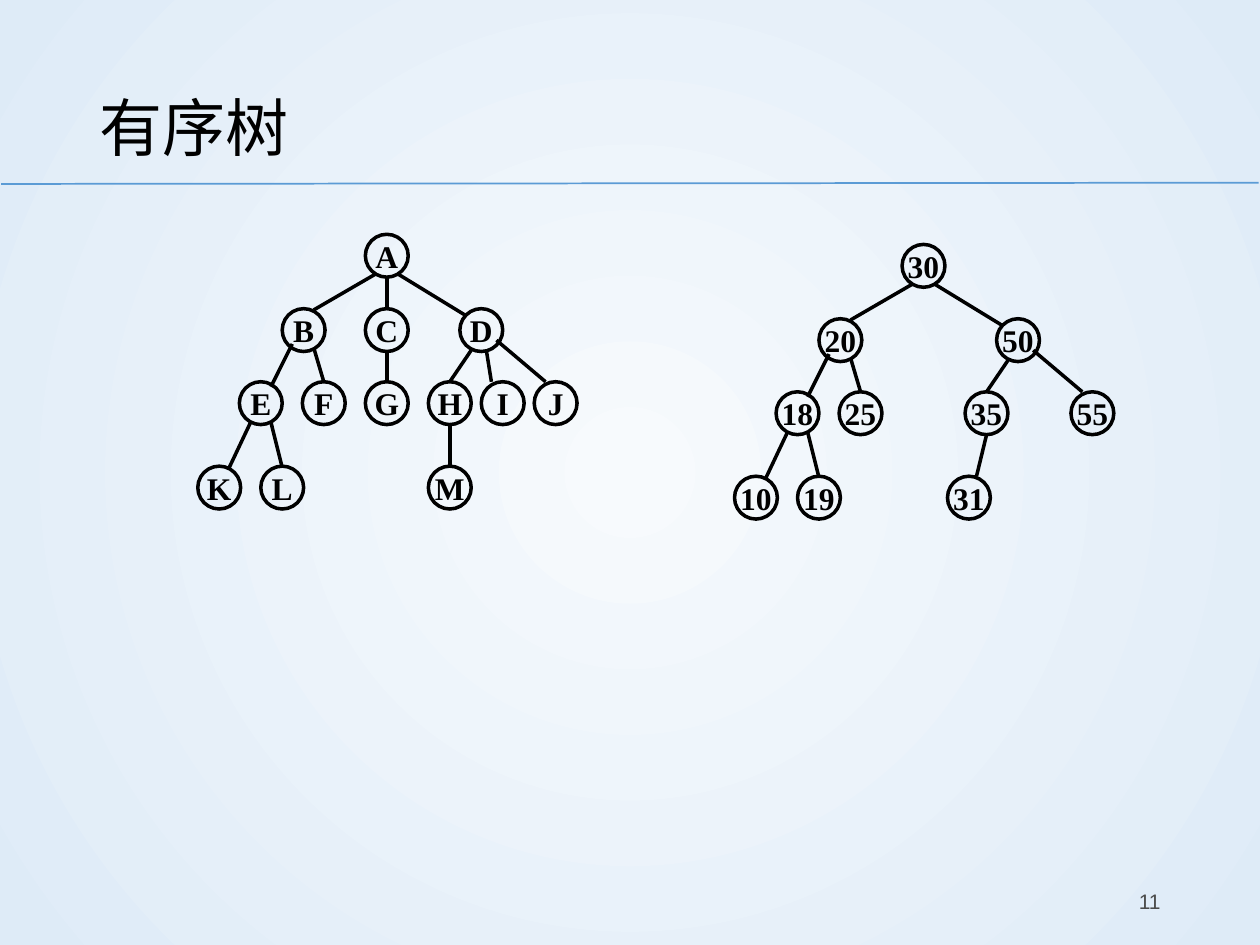
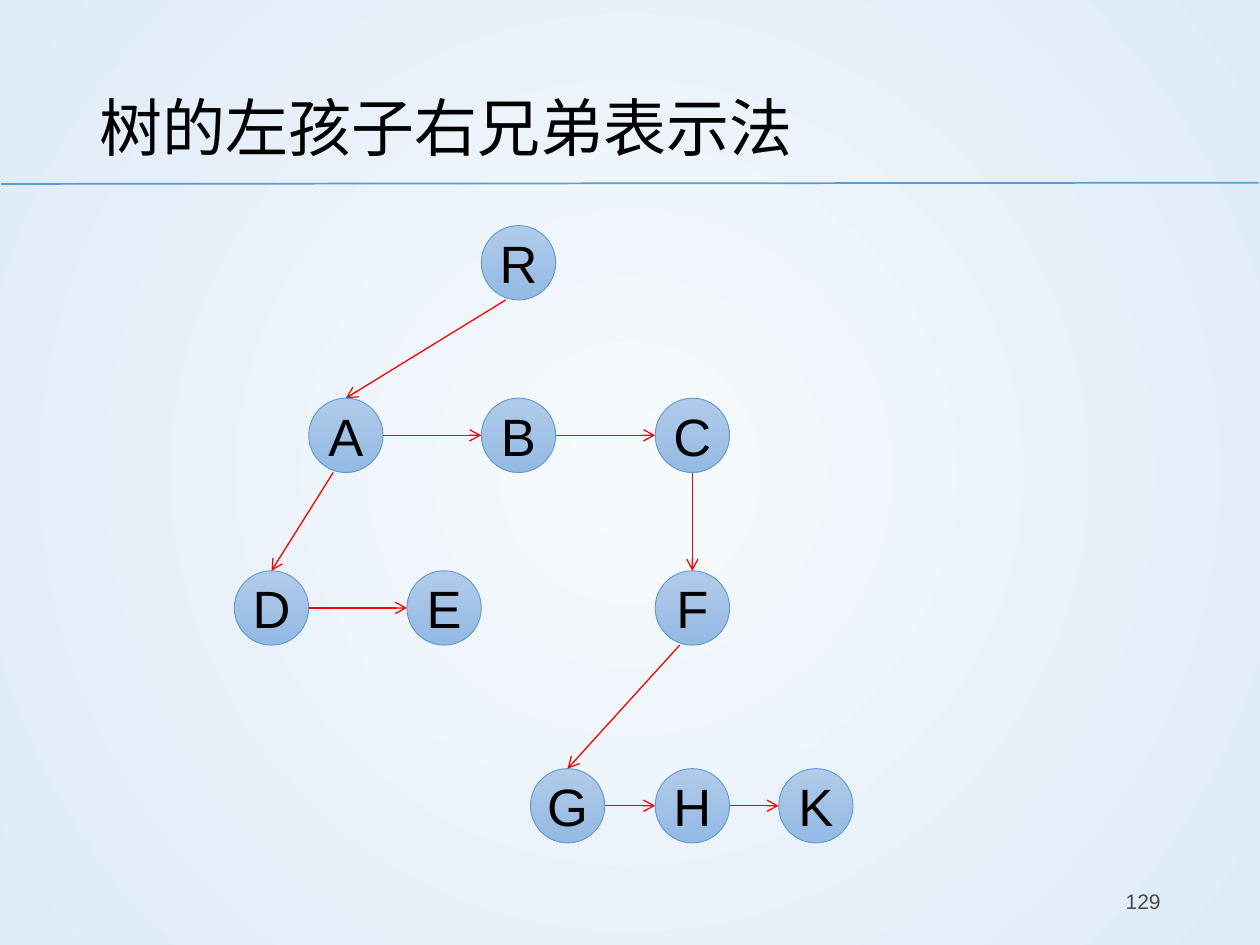
from typing import NamedTuple

from lxml import etree
from pptx import Presentation
from pptx.dml.color import RGBColor
from pptx.enum.shapes import MSO_CONNECTOR, MSO_SHAPE
from pptx.enum.text import MSO_ANCHOR, MSO_AUTO_SIZE, PP_ALIGN
from pptx.oxml.ns import qn
from pptx.util import Inches, Pt

STRAIGHT = MSO_CONNECTOR.STRAIGHT
OVAL = MSO_SHAPE.OVAL
MIDDLE = MSO_ANCHOR.MIDDLE
FIXED = MSO_AUTO_SIZE.NONE
LEFT, CENTER, RIGHT = PP_ALIGN.LEFT, PP_ALIGN.CENTER, PP_ALIGN.RIGHT

COLORS = {
    "glow": "F7FAFD",
    "edge": "DEEBF7",
    "rule": "5B9BD5",
    "ink": "000000",
    "page": "4B4B4B",
    "light": "B1CBE9",
    "deep": "93B9E4",
    "arrow": "FF0000",
}
SANS, SERIF = "Arial", "Times New Roman"


class Point(NamedTuple):
    x: float
    y: float


class Look(NamedTuple):
    size: float
    line: str
    width: float
    font: str
    points: int
    bold: bool
    filled: bool


class Edge(NamedTuple):
    start: Point
    end: Point


RING = Look(0.34, "ink", 2, SERIF, 18, True, False)
BALL = Look(0.59, "rule", 0.5, SANS, 30, False, True)

ROWS = (1.86, 2.45, 3.03, 3.7)
SPOTS = {
    "A": Point(2.9, ROWS[0]),
    **{key: Point(x, ROWS[1]) for key, x in zip("BCD", (2.24, 2.9, 3.65))},
    **{key: Point(x, ROWS[2]) for key, x in zip("EFGHIJ", (1.9, 2.4, 2.9, 3.4, 3.82, 4.24))},
    **{key: Point(x, ROWS[3]) for key, x in zip("KLM", (1.57, 2.07, 3.4))},
}
EDGES = {
    "B": Edge(Point(2.99, 2.17), Point(2.49, 2.46)),
    "C": Edge(Point(3.07, 2.2), Point(3.07, 2.45)),
    "D": Edge(Point(3.15, 2.17), Point(3.69, 2.5)),
    "E": Edge(Point(2.32, 2.73), Point(2.15, 3.07)),
    "F": Edge(Point(2.49, 2.76), Point(2.57, 3.03)),
    "G": Edge(Point(3.07, 2.78), Point(3.07, 3.03)),
    "H": Edge(Point(3.74, 2.78), Point(3.57, 3.03)),
    "I": Edge(Point(3.86, 2.78), Point(3.9, 3.03)),
    "J": Edge(Point(3.94, 2.7), Point(4.33, 3.03)),
    "K": Edge(Point(1.99, 3.35), Point(1.82, 3.71)),
    "L": Edge(Point(2.15, 3.35), Point(2.24, 3.71)),
    "M": Edge(Point(3.57, 3.36), Point(3.57, 3.7)),
}
VALUES = {"A": "30", "B": "20", "D": "50", "E": "18", "F": "25",
          "H": "35", "J": "55", "K": "10", "L": "19", "M": "31"}
SHIFT = Point(4.26, 0.08)
LAST_SPOT = Point(3.26, ROWS[3])
LAST_EDGE = Edge(Point(3.57, 3.37), Point(3.49, 3.7))

TOP, STEP = 1.79, 1.37
LEVELS = (
    {"R": 3.82},
    {"A": 2.45, "B": 3.82, "C": 5.2},
    {"D": 1.86, "E": 3.23, "F": 5.2},
    {"G": 4.21, "H": 5.2, "K": 6.18},
)
DROPS = (0, STEP, 2 * STEP, 4.31)
CHILDREN = ("RA", "AD", "CF", "FG")
SIBLINGS = ("AB", "BC", "DE", "GH", "HK")
LEAN = 0.1


def color(name: str) -> RGBColor:
    return RGBColor.from_string(COLORS[name])


def blend(fill, first: str, last: str) -> None:
    fill.gradient()
    for stop, name in zip(fill.gradient_stops, (first, last)):
        stop.color.rgb = color(name)


def paint_back(master) -> None:
    blend(master.background.fill, "glow", "edge")
    grad = master.element.find(".//" + qn("a:gradFill"))
    grad.remove(grad.find(qn("a:lin")))
    glow = etree.SubElement(grad, qn("a:path"), {"path": "circle"})
    etree.SubElement(glow, qn("a:fillToRect"), dict.fromkeys("ltrb", "50000"))


def write(shape, text: str, font: str, points: int, ink: str, align, bold: bool = False):
    frame = shape.text_frame
    frame.text = text
    frame.auto_size = FIXED
    frame.vertical_anchor = MIDDLE
    par = frame.paragraphs[0]
    par.alignment = align
    face = par.runs[0].font
    face.name, face.size, face.bold = font, Pt(points), bold
    face.color.rgb = color(ink)
    return frame


def draw_line(slide, start: Point, end: Point, ink: str, width: float, arrow: bool = False):
    line = slide.shapes.add_connector(STRAIGHT, *(Inches(v) for v in (*start, *end)))
    line.line.color.rgb = color(ink)
    line.line.width = Pt(width)
    props = line.element.spPr
    if arrow:
        etree.SubElement(props.find(qn("a:ln")), qn("a:tailEnd"), {"type": "arrow"})
    etree.SubElement(props, qn("a:effectLst"))
    return line


def draw_node(slide, spot: Point, text: str, look: Look):
    size = Inches(look.size)
    node = slide.shapes.add_shape(OVAL, Inches(spot.x), Inches(spot.y), size, size)
    node.shadow.inherit = False
    if look.filled:
        blend(node.fill, "light", "deep")
        node.fill.gradient_angle = 270
    else:
        node.fill.background()
    node.line.color.rgb = color(look.line)
    node.line.width = Pt(look.width)
    frame = write(node, text, look.font, look.points, "ink", CENTER, look.bold)
    frame.word_wrap = False
    frame.margin_left = frame.margin_right = frame.margin_top = frame.margin_bottom = 0
    return node


def start_slide(deck, head: str, page: str):
    slide = deck.slides.add_slide(deck.slide_layouts[5])
    draw_line(slide, Point(0.01, 1.46), Point(9.99, 1.45), "rule", 1)
    title = slide.shapes.title
    title.left, title.top = Inches(0.69), Inches(0.4)
    title.width, title.height = Inches(8.62), Inches(1.08)
    write(title, head, SANS, 36, "ink", LEFT).paragraphs[0].line_spacing = 1.2
    box = slide.shapes.add_textbox(Inches(7.06), Inches(6.95), Inches(2.25), Inches(0.4))
    write(box, page, SANS, 12, "page", RIGHT).word_wrap = True
    return slide


def move(spot: Point, shift: Point) -> Point:
    return Point(spot.x + shift.x, spot.y + shift.y)


def draw_tree(slide, labels: dict[str, str], spots: dict[str, Point],
              edges: dict[str, Edge], shift: Point) -> None:
    for key, text in labels.items():
        draw_node(slide, move(spots[key], shift), text, RING)
    for key in labels:
        if key in edges:
            start, end = edges[key]
            draw_line(slide, move(start, shift), move(end, shift), "ink", 2)


def draw_links(slide) -> None:
    spots = {key: Point(x, TOP + drop)
             for level, drop in zip(LEVELS, DROPS) for key, x in level.items()}
    nodes = {key: draw_node(slide, spot, key, BALL) for key, spot in spots.items()}
    half = BALL.size / 2
    for one, two in SIBLINGS:
        start = move(spots[one], Point(BALL.size, half))
        draw_line(slide, start, move(spots[two], Point(0, half)), "arrow", 0.75, True)
    for one, two in CHILDREN:
        lean = LEAN if spots[two].x < spots[one].x else 0
        start = move(spots[one], Point(half - lean, BALL.size))
        end = move(spots[two], Point(half, 0))
        draw_line(slide, start, end, "arrow", 0.75, True).end_connect(nodes[two], 0)


def main() -> None:
    deck = Presentation()
    deck.slide_width, deck.slide_height = Inches(10), Inches(7.5)
    paint_back(deck.slide_master)

    slide = start_slide(deck, "有序树", "11")
    draw_tree(slide, {key: key for key in SPOTS}, SPOTS, EDGES, Point(0, 0))
    draw_tree(slide, VALUES, {**SPOTS, "M": LAST_SPOT}, {**EDGES, "M": LAST_EDGE}, SHIFT)

    draw_links(start_slide(deck, "树的左孩子右兄弟表示法", "129"))
    deck.save("out.pptx")


if __name__ == "__main__":
    main()
